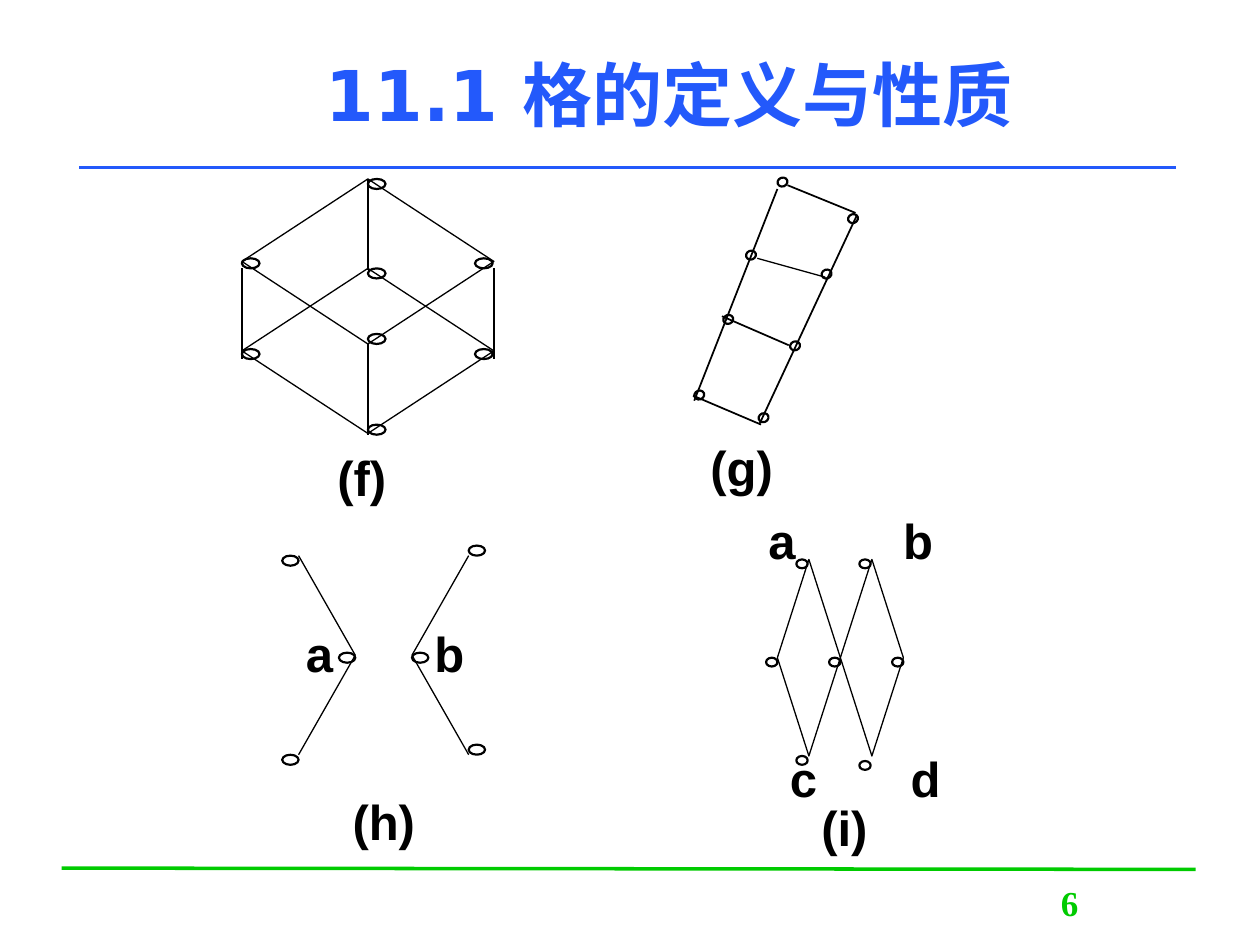
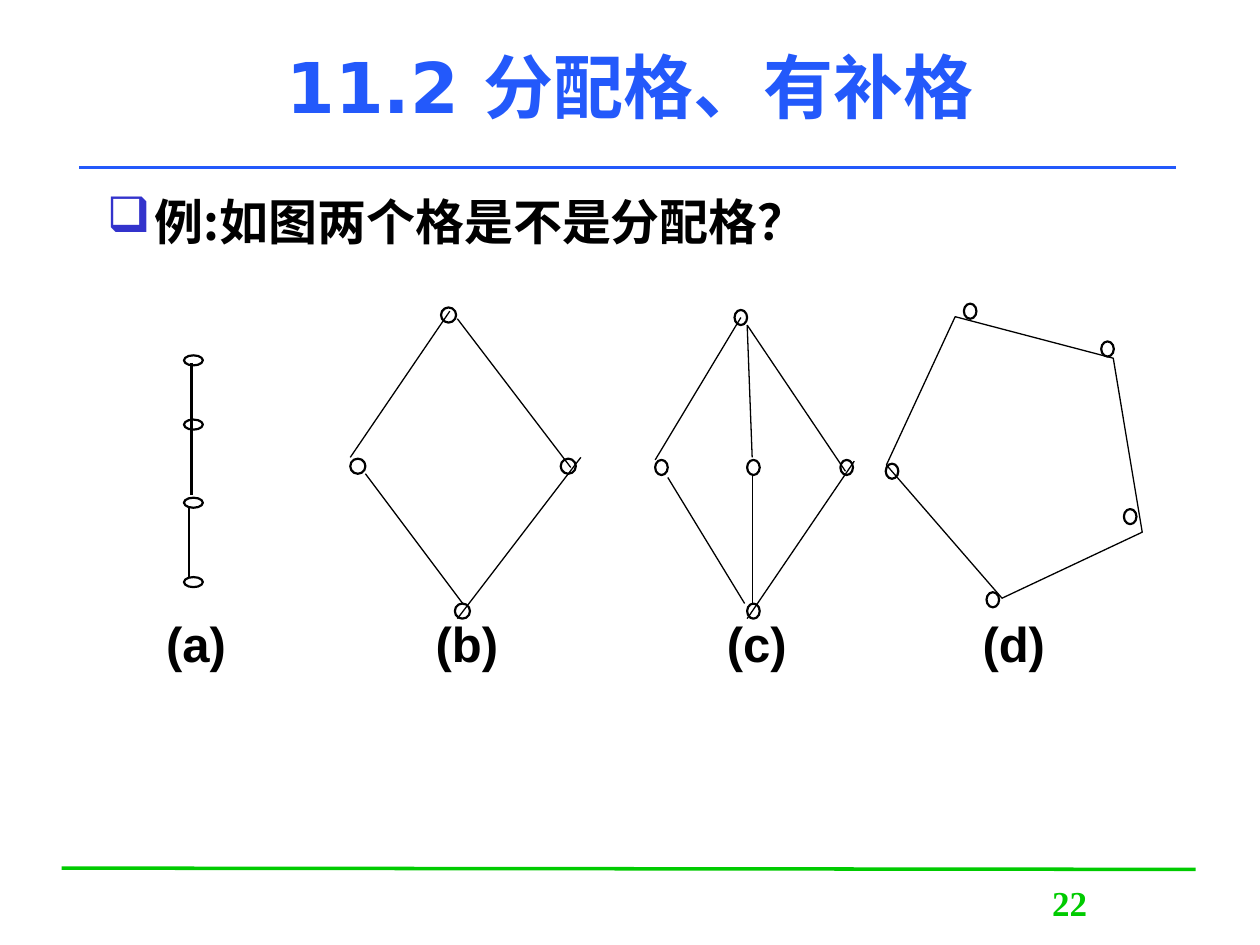
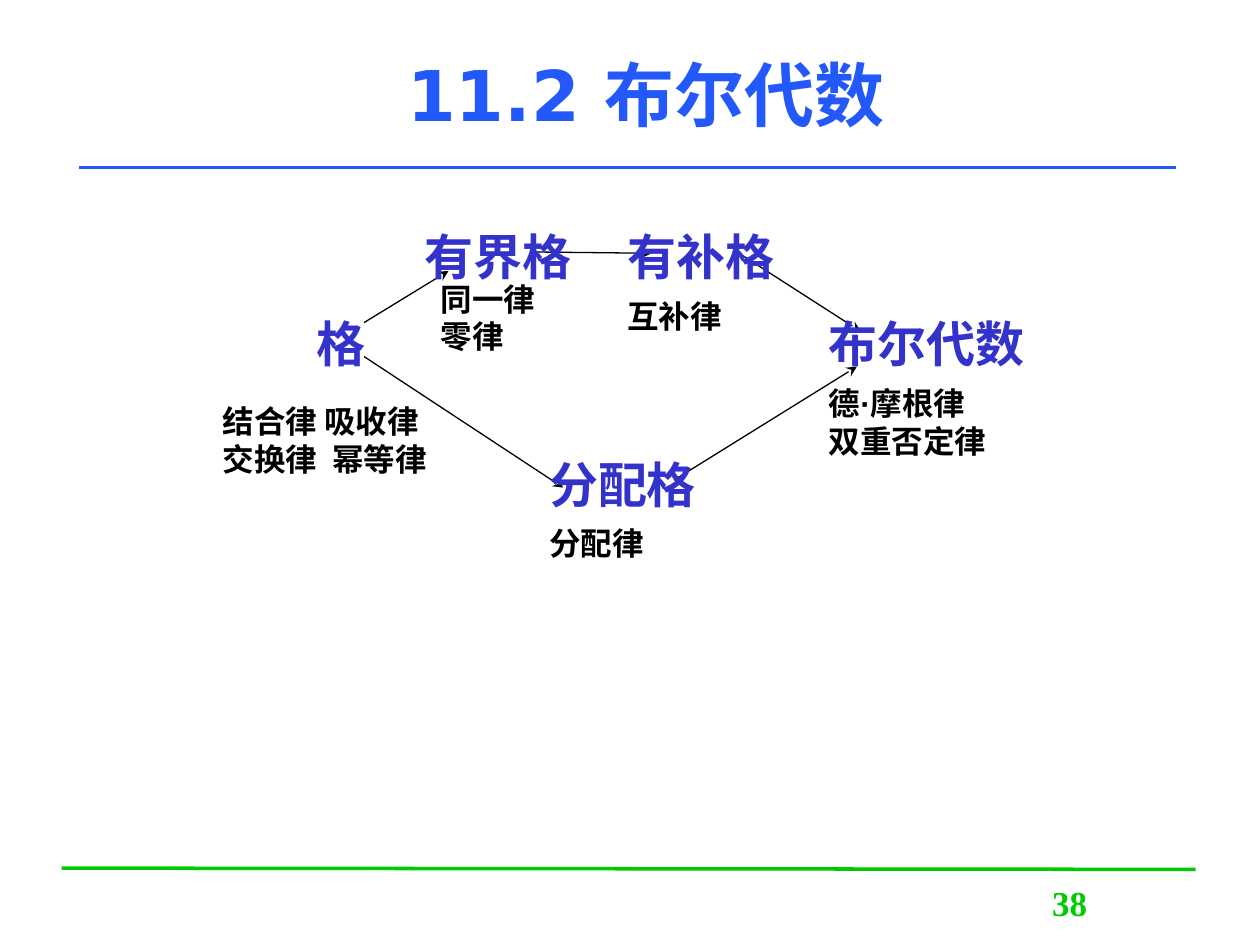
"""Build three lecture slides on lattices and Boolean algebra."""
from lxml.etree import SubElement
from pptx import Presentation
from pptx.dml.color import RGBColor
from pptx.enum.shapes import MSO_CONNECTOR, MSO_SHAPE
from pptx.enum.text import MSO_ANCHOR, MSO_AUTO_SIZE, PP_ALIGN
from pptx.oxml.ns import qn
from pptx.util import Pt

BLUE = RGBColor(0x23, 0x59, 0xFB)
GREEN = RGBColor(0x00, 0xCB, 0x00)
INDIGO = RGBColor(0x33, 0x33, 0xCC)
BLACK = RGBColor(0, 0, 0)
CHINESE_FONT = "Noto Sans CJK SC"
SCALE = 9144


def px(*lengths):
    """Turn lengths at 100 px to the inch into EMU."""
    return [length * SCALE for length in lengths]


def write(paragraph, text, size=28, font="Arial", color=BLACK, align=PP_ALIGN.JUSTIFY):
    """Add one bold span of text to a paragraph."""
    paragraph.alignment = align
    span = paragraph.add_run()
    span.text = text
    span.font.size = Pt(size)
    span.font.bold = True
    span.font.name = font
    span.font.color.rgb = color
    properties = span.font._element
    SubElement(properties, qn("a:ea")).set("typeface", CHINESE_FONT)


class Lecture:
    """Hold the deck style and the current page."""

    def __init__(self):
        """Start an empty deck."""
        self.deck = Presentation()
        self.deck.slide_width, self.deck.slide_height = px(1000, 750)
        self.page = None

    def new_page(self, title, number, place):
        """Add a page with its title, rules and number."""
        self.page = self.deck.slides.add_slide(self.deck.slide_layouts[5])
        self.line(49, 689, 949, 690, 2, GREEN)
        self.line(63, 133, 933, 133, 2, BLUE)
        self.text(str(number), 770, 695, 158, 50, size=20, font="Times New Roman",
                  color=GREEN, align=PP_ALIGN.CENTER)
        heading = self.page.shapes.title
        heading.left, heading.top, heading.width, heading.height = px(*place)
        frame = heading.text_frame
        frame.auto_size = MSO_AUTO_SIZE.NONE
        frame.vertical_anchor = MSO_ANCHOR.MIDDLE
        write(frame.paragraphs[0], title, size=40, font="DejaVu Sans", color=BLUE,
              align=PP_ALIGN.CENTER)

    def frame(self, left, top, width, height):
        """Add a wrapping text box and return its frame."""
        box = self.page.shapes.add_textbox(*px(left, top, width, height))
        box.text_frame.word_wrap = True
        return box.text_frame

    def text(self, text, left, top, width=100, height=56, **style):
        """Add a text box with one paragraph a line."""
        frame = self.frame(left, top, width, height)
        for index, content in enumerate(text.split("\n")):
            para = frame.add_paragraph() if index else frame.paragraphs[0]
            write(para, content, **style)

    def bullet(self, spans, left, top, width, height):
        """Add a bulleted paragraph made of (text, font) spans."""
        para = self.frame(left, top, width, height).paragraphs[0]
        for content, font in spans:
            write(para, content, font=font, align=PP_ALIGN.LEFT)
        properties = para._p.get_or_add_pPr()
        indent = 38 * SCALE
        properties.set("marL", str(indent))
        properties.set("indent", str(-indent))
        color = SubElement(properties, qn("a:buClr"))
        SubElement(color, qn("a:srgbClr")).set("val", str(INDIGO))
        SubElement(properties, qn("a:buChar")).set("char", "❑")

    def line(self, x1, y1, x2, y2, weight=0.75, color=BLACK, arrow=False):
        """Draw a straight line, with an arrowhead at its end on request."""
        line = self.page.shapes.add_connector(MSO_CONNECTOR.STRAIGHT, *px(x1, y1, x2, y2))
        line.line.color.rgb = color
        line.line.width = Pt(weight)
        if arrow:
            SubElement(line.line._get_or_add_ln(), qn("a:tailEnd")).set("type", "stealth")
        SubElement(line._element.spPr, qn("a:effectLst"))

    def lines(self, ends, **style):
        """Draw several lines in one style."""
        for end in ends:
            self.line(*end, **style)

    def outline(self, kind, left, top, width, height, weight=0.75, rotation=0):
        """Draw an unfilled preset shape."""
        shape = self.page.shapes.add_shape(kind, *px(left, top, width, height))
        shape.shadow.inherit = False
        shape.fill.background()
        shape.line.color.rgb = BLACK
        shape.line.width = Pt(weight)
        shape.rotation = rotation

    def nodes(self, corners, width, height, rotation=0):
        """Draw equal lattice nodes at the given top left corners."""
        for left, top in corners:
            self.outline(MSO_SHAPE.OVAL, left, top, width, height, 1.25, rotation)


def draw_cube(lecture):
    """Draw lattice (f)."""
    for top in (142, 213):
        lecture.outline(MSO_SHAPE.DIAMOND, 192, top, 200, 131)
    for x, top in ((292, 273), (392, 213), (192, 213), (292, 142)):
        lecture.line(x, top, x, top + 72)
    lecture.nodes([(x, y) for x in (192, 377) for y in (205, 277)], 14, 8)
    lecture.nodes([(292, y) for y in (142, 213, 265, 337)], 14, 8)
    lecture.text("(f)", 258, 350)


def draw_ladder(lecture):
    """Draw lattice (g)."""
    lecture.lines([(617, 150, 551, 318), (625, 147, 679, 169), (680, 171, 603, 336),
                   (626, 274, 573, 251), (604, 337, 550, 314)], weight=1)
    lecture.line(601, 205, 655, 220)
    lecture.nodes([(617, 141), (592, 199), (673, 170), (652, 214), (627, 271),
                   (574, 250), (551, 310), (602, 328)], 8, 7, rotation=340.2)
    lecture.text("(g)", 554, 342)


def draw_angles(lecture):
    """Draw diagram (h)."""
    for outer, inner in ((237, 282), (372, 327)):
        for y in (441, 599):
            lecture.line(outer, y, inner, 520)
    lecture.nodes([(269, 518), (224, 599), (327, 518), (372, 591), (372, 433), (224, 441)],
                  13, 8)
    lecture.text("a", 233, 490)
    lecture.text("b", 335, 490)
    lecture.text("(h)", 270, 623)


def draw_diamonds(lecture):
    """Draw diagram (i)."""
    for left in (617, 667):
        lecture.outline(MSO_SHAPE.DIAMOND, left, 444, 50, 156)
    for label, left, top in (("a", 600, 400), ("b", 707, 400), ("c", 617, 589),
                             ("d", 713, 589), ("(i)", 642, 628)):
        lecture.text(label, left, top)
    lecture.nodes([(682, 604), (632, 600), (632, 444), (682, 444)], 9, 7)
    lecture.nodes([(x, 522) for x in (608, 658, 708)], 9, 7)


def draw_distributive_examples(lecture):
    """Draw the four lattices (a) to (d)."""
    lecture.nodes([(146, y) for y in (282, 333, 395, 458)], 15, 8)
    lecture.lines([(152, 288, 152, 342), (152, 338, 152, 393), (150, 403, 150, 458)],
                  weight=1.25)
    lecture.nodes([(350, 244), (278, 364), (445, 364), (361, 479)], 12, 12)
    lecture.lines([(290, 376, 368, 480), (363, 491, 461, 363),
                   (363, 253, 453, 371), (278, 363, 357, 247)])
    lecture.nodes([(583, 246), (520, 365), (667, 365), (593, 479), (593, 365)], 10, 12)
    lecture.lines([(530, 379, 591, 479), (593, 491, 678, 366), (593, 258, 671, 374),
                   (520, 365, 588, 252), (593, 258, 597, 363), (597, 376, 597, 480)])
    lecture.outline(MSO_SHAPE.REGULAR_PENTAGON, 705, 241, 199, 218, rotation=334.8)
    lecture.nodes([(783, 470), (892, 404), (874, 271), (765, 241), (703, 368)], 10, 12)
    for label, left in (("(a)", 122), ("(b)", 336), ("(c)", 567), ("(d)", 770)):
        lecture.text(label, left, 482)


def draw_algebra_map(lecture):
    """Draw the path from lattice to Boolean algebra."""
    lecture.lines([(289, 283, 447, 387), (535, 381, 680, 291), (289, 256, 356, 215),
                   (425, 200, 517, 201), (585, 200, 683, 263)], arrow=True)
    for name, left, top, width in (("格", 241, 244, 62), ("有界格", 327, 175, 165),
                                   ("有补格", 488, 175, 204), ("布尔代数", 648, 244, 194),
                                   ("分配格", 426, 356, 166)):
        lecture.text(name, left, top, width, 69, color=INDIGO)
    for laws, left, top in (("结合律 吸收律\n交换律", 167, 314), ("幂等律", 254, 344),
                            ("同一律\n零律", 340, 217), ("互补律", 488, 231),
                            ("分配律", 426, 411), ("德·摩根律\n双重否定律", 648, 300)):
        lecture.text(laws, left, top, 200, size=18)


def main():
    """Build and save the deck."""
    lecture = Lecture()
    lecture.new_page("11.1 格的定义与性质", 6, (106, 44, 850, 61))
    for draw in (draw_cube, draw_ladder, draw_angles, draw_diamonds):
        draw(lecture)
    lecture.new_page("11.2 分配格、有补格", 22, (75, 5, 850, 125))
    lecture.bullet([("例", "Times New Roman"), (":", CHINESE_FONT),
                    ("如图两个格是不是分配格？", "Times New Roman")], 75, 147, 850, 535)
    draw_distributive_examples(lecture)
    lecture.new_page("11.2 布尔代数", 38, (75, 44, 875, 61))
    draw_algebra_map(lecture)
    lecture.deck.save("out.pptx")


if __name__ == "__main__":
    main()
